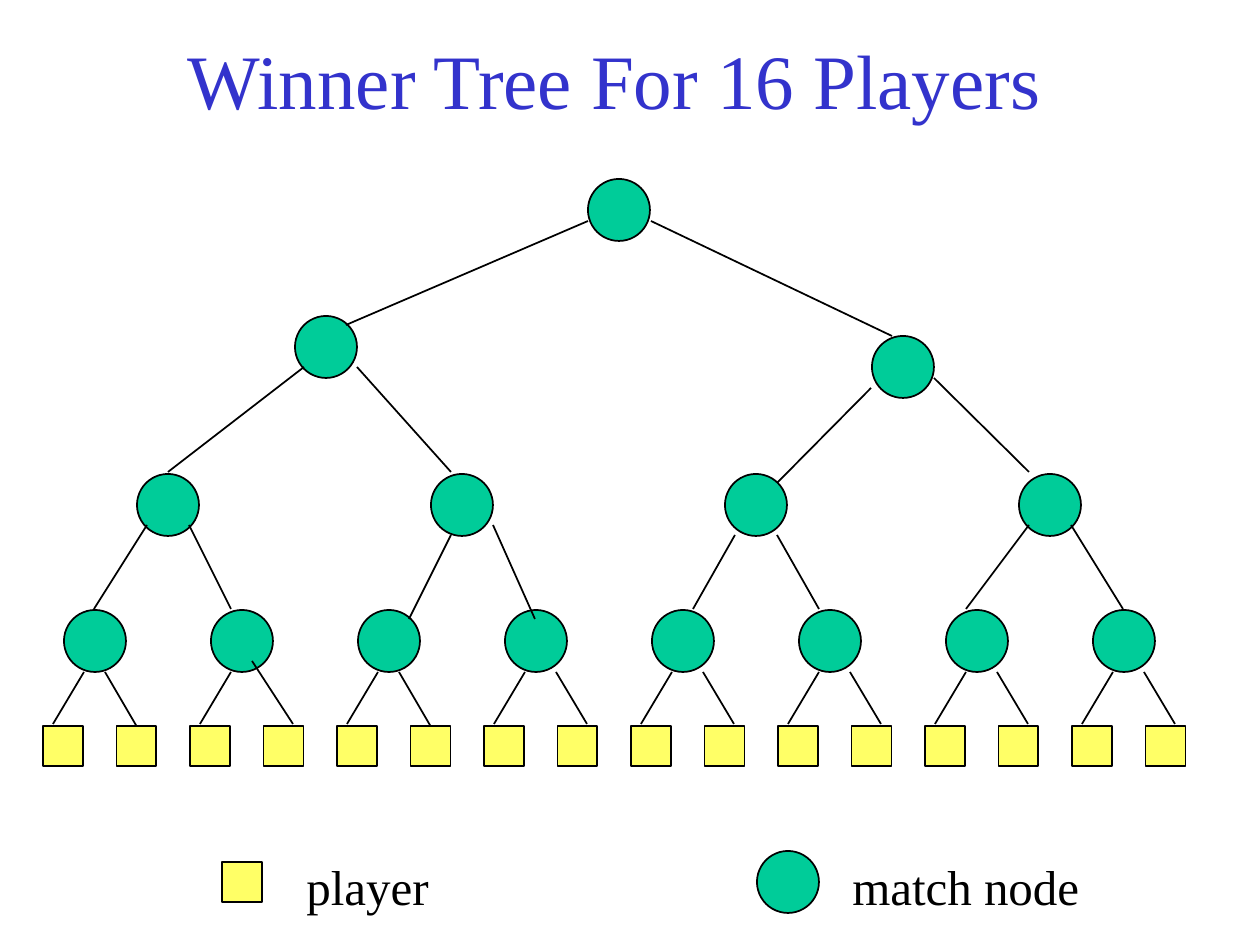
import dataclasses

import pptx
import pptx.dml.color
import pptx.enum.shapes
import pptx.enum.text
import pptx.oxml.ns
import pptx.util
from lxml import etree

PX = 914400 / 126
SHAPES = pptx.enum.shapes.MSO_SHAPE


@dataclasses.dataclass(frozen=True)
class Theme:
    font: str = "Times New Roman"
    heading: str = "3333CC"
    ink: str = "000000"
    player: str = "FFFF66"
    match: str = "00CC99"
    title_size: int = 44
    label_size: int = 28
    label_gap: float = 17.5
    outline: int = 1


@dataclasses.dataclass(frozen=True)
class Box:
    left: int
    top: int
    width: int
    height: int


THEME = Theme()
PLAYER_SIZE = 40
MATCH_SIZE = 62
PLAYER_COUNT = 16
PLAYER_TOP = 547
MATCH_PITCH = 147

UPPER_MATCHES = [(545, 0), (252, 137), (829, 157)]
MATCH_ROWS = [(94, 295, 4), (21, 431, 8)]
UPPER_BRANCHES = [
    (545, 42, 303, 146), (608, 42, 849, 157),
    (261, 188, 125, 293), (314, 188, 408, 293),
    (828, 209, 734, 304), (891, 199, 986, 293),
    (104, 346, 51, 430), (146, 346, 188, 430),
    (408, 356, 366, 440), (450, 346, 492, 440),
    (692, 356, 650, 430), (734, 356, 776, 430),
    (986, 346, 923, 430), (1028, 346, 1080, 430),
]


def emu(px):
    return pptx.util.Emu(round(px * PX))


def rgb(value):
    return pptx.dml.color.RGBColor.from_string(value)


def add_run(paragraph, text, size, color):
    run = paragraph.add_run()
    run.text = text
    run.font.name = THEME.font
    run.font.size = pptx.util.Pt(size)
    run.font.color.rgb = rgb(color)


def add_node(slide, kind, left, top, size, color):
    node = slide.shapes.add_shape(kind, emu(left), emu(top), emu(size), emu(size))
    node.shadow.inherit = False
    node.fill.solid()
    node.fill.fore_color.rgb = rgb(color)
    node.line.color.rgb = rgb(THEME.ink)
    node.line.width = pptx.util.Pt(THEME.outline)
    return node


def add_player(slide, left, top):
    return add_node(slide, SHAPES.RECTANGLE, left, top, PLAYER_SIZE, THEME.player)


def add_match(slide, left, top):
    return add_node(slide, SHAPES.OVAL, left, top, MATCH_SIZE, THEME.match)


def add_branch(slide, box, x1, y1, x2, y2):
    branch = slide.shapes.add_connector(
        pptx.enum.shapes.MSO_CONNECTOR.STRAIGHT,
        emu(box.left + x1), emu(box.top + y1),
        emu(box.left + x2), emu(box.top + y2),
    )
    branch.line.color.rgb = rgb(THEME.ink)
    branch.line.width = pptx.util.Pt(THEME.outline)
    properties = branch._element.spPr
    etree.SubElement(properties, pptx.oxml.ns.qn("a:effectLst"))
    return branch


def place_title(slide, box):
    title = slide.shapes.title
    title.left, title.top = emu(box.left), emu(box.top)
    title.width, title.height = emu(box.width), emu(box.height)
    title.text_frame.word_wrap = True
    title.text_frame.vertical_anchor = pptx.enum.text.MSO_ANCHOR.MIDDLE
    paragraph = title.text_frame.paragraphs[0]
    paragraph.alignment = pptx.enum.text.PP_ALIGN.CENTER
    add_run(paragraph, "Winner Tree For 16 Players", THEME.title_size, THEME.heading)


def place_tree(slide, box):
    players = [
        add_player(slide, box.left + i * MATCH_PITCH / 2, box.top + PLAYER_TOP)
        for i in range(PLAYER_COUNT)
    ]
    matches = UPPER_MATCHES + [
        (first + i * MATCH_PITCH * 8 // count, top)
        for first, top, count in MATCH_ROWS
        for i in range(count)
    ]
    for left, top in matches:
        add_match(slide, box.left + left, box.top + top)
    for ends in UPPER_BRANCHES:
        add_branch(slide, box, *ends)
    for i in range(PLAYER_COUNT // 2):
        offset = i * MATCH_PITCH
        add_branch(slide, box, offset + 41, 493, offset + 10, 545)
        start_shift = 10 if i >= 3 else 0
        end_shift = 10 if i == 1 else start_shift
        start_y = 482 if i == 1 else 493
        right = add_branch(
            slide, box, offset + 62 + start_shift, start_y, offset + 93 + end_shift, 545
        )
        if end_shift == 0:
            right.end_connect(players[2 * i + 1], 0)


def add_label(slide, text, left, top, width, height):
    label = slide.shapes.add_textbox(emu(left), emu(top), emu(width), emu(height))
    label.text_frame.word_wrap = True
    paragraph = label.text_frame.paragraphs[0]
    paragraph.space_before = pptx.util.Pt(THEME.label_gap)
    add_run(paragraph, text, THEME.label_size, THEME.ink)


def place_legend(slide, box):
    add_player(slide, box.left, box.top + 12)
    add_label(slide, "player", box.left + 72, box.top, 284, box.height)
    add_match(slide, box.left + 535, box.top + 1)
    add_label(slide, "match node", box.left + 618, box.top, 325, box.height)


def main():
    deck = pptx.Presentation()
    deck.slide_width, deck.slide_height = emu(1260), emu(945)
    slide = deck.slides.add_slide(deck.slide_layouts[5])
    place_title(slide, Box(0, 0, 1229, 158))
    place_tree(slide, Box(43, 179, 1143, 587))
    place_legend(slide, Box(222, 850, 943, 72))
    deck.save("out.pptx")


if __name__ == "__main__":
    main()
